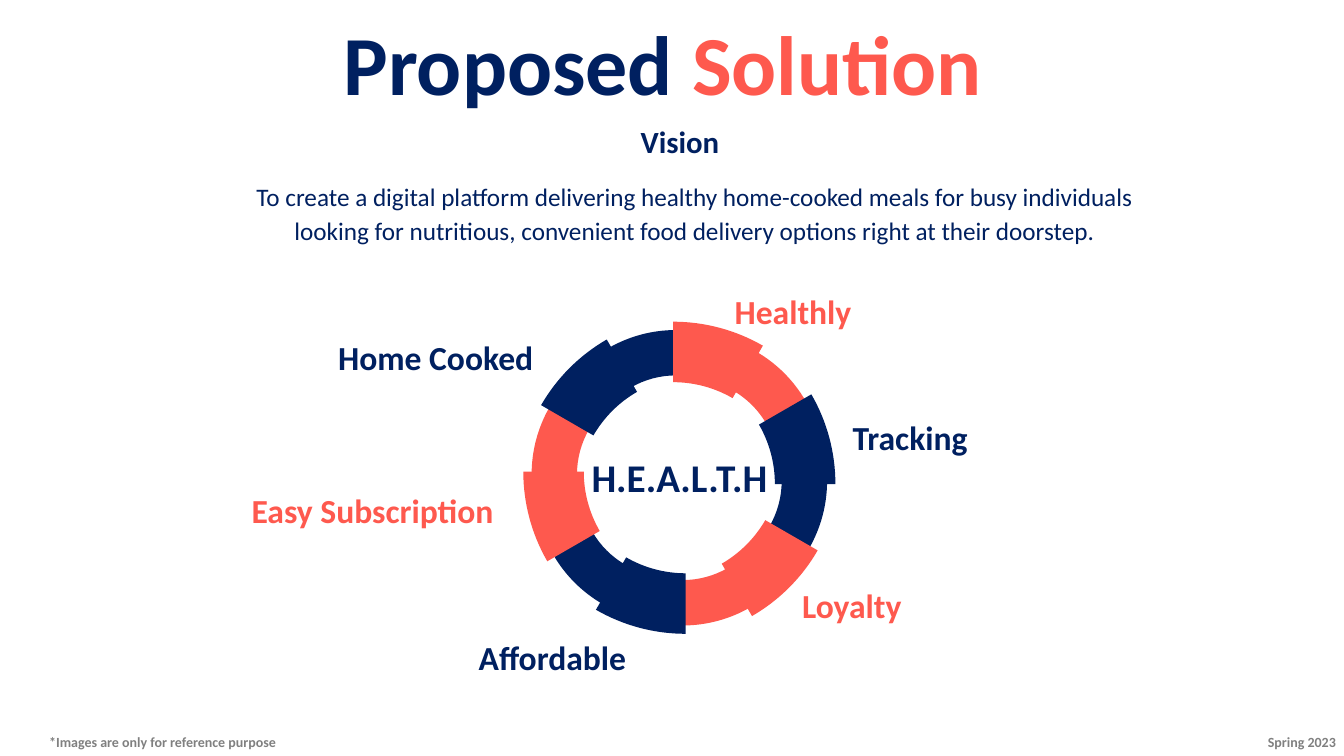
from math import cos, radians, sin, tan

from lxml import etree
from pptx import Presentation
from pptx.dml.color import RGBColor
from pptx.enum.text import MSO_AUTO_SIZE, PP_ALIGN
from pptx.oxml.ns import qn
from pptx.util import Inches, Pt

NAVY = RGBColor(0x00, 0x20, 0x60)
CORAL = RGBColor(0xFE, 0x59, 0x4E)
GRAY = RGBColor(0x80, 0x80, 0x80)
WHITE = RGBColor(0xFF, 0xFF, 0xFF)

LEFT, CENTER, RIGHT = PP_ALIGN.LEFT, PP_ALIGN.CENTER, PP_ALIGN.RIGHT
RING_X, RING_Y = 6.74, 4.74
BEZIER = 4 / 3 * tan(radians(30 / 4))  # handle length of a 30 degree arc

# text, left, top, width, colour, alignment, wrap
LABELS = [
    ("Healthly", 7.19, 2.84, 1.37, CORAL, LEFT, False),
    ("Loyalty", 7.86, 5.75, 1.28, CORAL, LEFT, False),
    ("Tracking", 8.36, 4.09, 1.43, NAVY, LEFT, False),
    ("Home Cooked", 3.23, 3.29, 2.16, NAVY, RIGHT, False),
    ("Affordable", 4.62, 6.27, 1.69, NAVY, RIGHT, False),
    ("Easy Subscription ", 0.83, 4.81, 4.24, CORAL, RIGHT, True),
]
VISION = [
    "To create a digital platform delivering healthy home-cooked meals for busy individuals ",
    "looking for nutritious, convenient food delivery options right at their doorstep. ",
]


def add_text(slide, lines, left, top, width, height, size, color,
             bold=True, align=LEFT, wrap=True):
    """Add a text box with one paragraph per line and return its paragraphs."""
    box = slide.shapes.add_textbox(Inches(left), Inches(top), Inches(width), Inches(height))
    tf = box.text_frame
    tf.word_wrap = wrap
    tf.auto_size = MSO_AUTO_SIZE.SHAPE_TO_FIT_TEXT
    tf.text = "\n".join(lines)
    for p in tf.paragraphs:
        p.alignment = align
        p.font.name = "Calibri"
        p.font.size = Pt(size)
        p.font.bold = bold
        p.font.color.rgb = color
    return tf.paragraphs


def add_title(slide):
    p = add_text(slide, ["Proposed "], 3.27, 0.06, 6.8, 1.11, 60, NAVY,
                 align=CENTER, wrap=False)[0]
    r = p.add_run()
    r.text = "Solution "
    r.font.color.rgb = CORAL
    r.font.name = "Calibri"
    r.font.size = Pt(60)
    r.font.bold = True


def add_vision(slide):
    add_text(slide, ["Vision"], 6.15, 1.17, 1.19, 0.47, 22, NAVY, align=CENTER)
    for p in add_text(slide, VISION, 0.33, 1.7, 12.68, 0.78, 18, NAVY,
                      bold=False, align=CENTER):
        p.line_spacing = 1.15
        p._p.get_or_add_pPr().set("indent", str(Inches(0.5)))


def arc_points(cx, cy, radius, start, end):
    """Return end points and handles of the cubic curve for a 30 degree arc."""
    turn = BEZIER if end > start else -BEZIER

    def point(angle, handle):
        a = radians(angle)
        return (Inches(cx + radius * (cos(a) - handle * sin(a))),
                Inches(cy - radius * (sin(a) + handle * cos(a))))

    return [point(start, 0), point(start, turn), point(end, -turn), point(end, 0)]


def curve_lines(sp, first):
    """Merge three straight segments, from index first, into one cubic curve."""
    lines = list(sp._element.iter(qn("a:lnTo")))[first:first + 3]
    curve = etree.Element(qn("a:cubicBezTo"))
    lines[0].addprevious(curve)
    for line in lines:
        curve.append(line[0])
        line.getparent().remove(line)


def add_ring_piece(slide, start, inner, outer, shift, color):
    """Add a 30 degree ring piece, moved by shift along its middle angle."""
    middle = radians(start + 15)
    cx = RING_X + shift * cos(middle)
    cy = RING_Y - shift * sin(middle)
    points = (arc_points(cx, cy, outer, start, start + 30)
              + arc_points(cx, cy, inner, start + 30, start))
    builder = slide.shapes.build_freeform(*points[0])
    builder.add_line_segments(points[1:], close=True)
    sp = builder.convert_to_shape()
    curve_lines(sp, 4)
    curve_lines(sp, 0)
    sp.shadow.inherit = False
    sp.fill.solid()
    sp.fill.fore_color.rgb = color
    sp.line.fill.background()


def add_ring(slide):
    colors = [CORAL, NAVY] * 3
    for first, inner, outer, shift in ((30, 0.89, 1.34, 0.13), (60, 1.18, 1.78, -0.24)):
        for i, color in enumerate(colors):
            add_ring_piece(slide, first - 60 * i, inner, outer, shift, color)


def main():
    prs = Presentation()
    prs.slide_width, prs.slide_height = Inches(40 / 3), Inches(7.5)
    slide = prs.slides.add_slide(prs.slide_layouts[6])
    slide.background.fill.solid()
    slide.background.fill.fore_color.rgb = WHITE

    add_ring(slide)
    for text, left, top, width, color, align, wrap in LABELS:
        add_text(slide, [text], left, top, width, 0.5, 24, color, align=align, wrap=wrap)
    add_title(slide)
    add_vision(slide)
    add_text(slide, ["*Images are only for reference purpose"], 0.39, 7.23, 3.73, 0.27, 10, GRAY)
    add_text(slide, ["Spring 2023"], 12.48, 7.23, 1.71, 0.27, 10, GRAY)
    add_text(slide, ["H.E.A.L.T.H"], 5.77, 4.45, 2.09, 0.57, 28, NAVY)
    prs.save("out.pptx")


if __name__ == "__main__":
    main()
